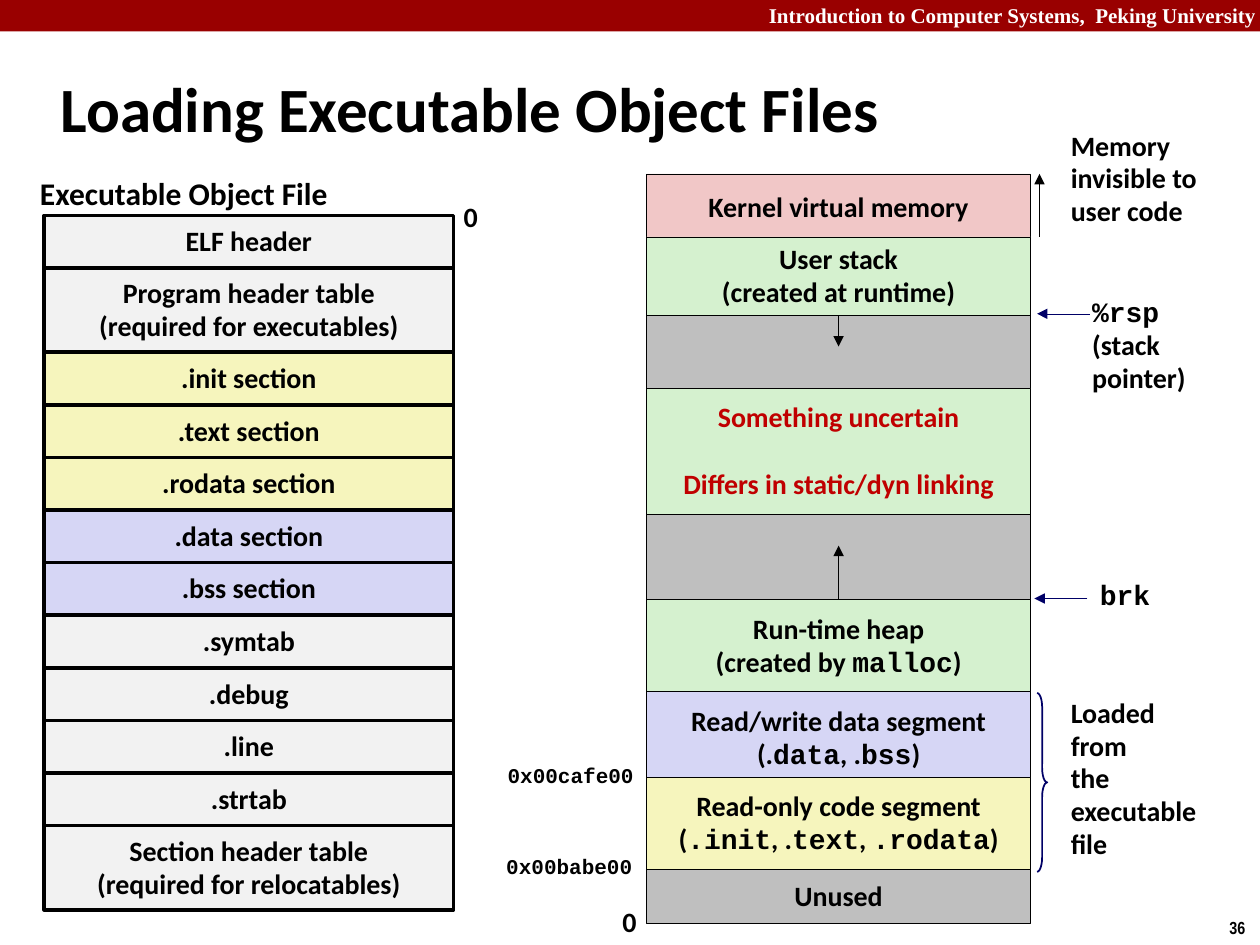
"""Build a slide mapping an executable object file onto process memory."""
from lxml.etree import SubElement
from pptx import Presentation
from pptx.dml.color import RGBColor
from pptx.enum.shapes import MSO_CONNECTOR, MSO_SHAPE
from pptx.enum.text import MSO_ANCHOR, MSO_AUTO_SIZE, PP_ALIGN
from pptx.oxml.ns import qn
from pptx.util import Pt

COLORS = {
    "black": "000000", "white": "FFFFFF", "banner": "990000", "navy": "000066",
    "red": "C00000", "header": "F2F2F2", "code": "F6F5BD", "data": "D6D6F5",
    "kernel": "F1C7C7", "dynamic": "D5F1CF", "gap": "BFBFBF",
}
BODY, MONO = "Calibri", "Courier New"
FILE_LEFT, FILE_TOP, FILE_WIDTH = 25.2, 123.1, 234
ROW_HEIGHT, TALL_ROW_HEIGHT = 30.05, 48.2
MEMORY_LEFT, MEMORY_WIDTH = 369.4, 219.6

FILE_SECTIONS = [
    (["ELF header"], "header"),
    (["Program header table", "(required for executables)"], "header"),
    ([".init section"], "code"),
    ([".text section"], "code"),
    ([".rodata section"], "code"),
    ([".data section"], "data"),
    ([".bss section"], "data"),
    ([".symtab"], "header"),
    ([".debug"], "header"),
    ([".line"], "header"),
    ([".strtab"], "header"),
    (["Section header table", "(required for relocatables)"], "header"),
]
MEMORY_REGIONS = {
    "upper gap": (162, 71.3, "gap", []),
    "lower gap": (285.8, 56.9, "gap", []),
    "kernel": (99.4, 38.2, "kernel", ["Kernel virtual memory"]),
    "stack": (135.4, 44.6, "dynamic", ["User stack", "(created at runtime)"]),
    "heap": (342.7, 52.6, "dynamic", ["Run-time heap", "(created by `malloc`)"]),
    "data": (395.3, 52.6, "data", ["Read/write data segment", "(.`data`, .`bss`)"]),
    "code": (444.2, 52.6, "code",
             ["Read-only code segment", "(`.init`, .`text`, `.rodata`)"]),
    "unused": (496.8, 31, "gap", ["Unused"]),
}
LABELS = [
    (257.8, 111.6, 22.3, 26.6, ["0"], 16, False),
    (15.8, 97.2, 180, 28.8, ["Executable Object File"], 18, False),
    (348.5, 514.1, 22.3, 26.6, ["0"], 16, False),
    (617, 166.3, 68.4, 63.4, ["`%rsp`", "(stack", "pointer)"], 16, False),
    (604.8, 70.6, 103.7, 64.8, ["Memory", "invisible to user code"], 16, True),
    (621.4, 328.3, 43.2, 25.9, ["`brk`"], 16, False),
    (604.8, 394.6, 90.7, 102.2,
     ["Loaded", "from", "the", "executable", "file"], 16, False),
    (282.2, 485.3, 87.8, 21.6, ["`0x00babe00`"], 12, True),
    (283, 433.4, 112.3, 21.6, ["`0x00cafe00`"], 12, True),
]


def rgb(name):
    """Return the named colour."""
    return RGBColor.from_string(COLORS[name])


def add_span(para, text, font, size, color):
    """Append one bold run to a paragraph."""
    span = para.add_run()
    span.text = text
    span.font.name, span.font.size, span.font.bold = font, Pt(size), True
    span.font.color.rgb = rgb(color)


def write_lines(frame, lines, size=16, color="black", align=PP_ALIGN.LEFT):
    """Write one paragraph per line, with backticks around monospaced parts."""
    for index, line in enumerate(lines):
        para = frame.add_paragraph() if index else frame.paragraphs[0]
        para.alignment = align
        para.line_spacing = 0.94 if line.startswith("`") else 0.98
        for position, part in enumerate(line.split("`")):
            if part:
                add_span(para, part, MONO if position % 2 else BODY, size, color)


def add_block(page, left, top, width, height, fill, weight, lines, color="black"):
    """Add a filled, outlined rectangle with centred lines of text."""
    block = page.shapes.add_shape(
        MSO_SHAPE.RECTANGLE, Pt(left), Pt(top), Pt(width), Pt(height))
    block.shadow.inherit = False
    block.fill.solid()
    block.fill.fore_color.rgb = rgb(fill)
    block.line.color.rgb = rgb("black")
    block.line.width = Pt(weight)
    block.text_frame.word_wrap = False
    block.text_frame.vertical_anchor = MSO_ANCHOR.MIDDLE
    write_lines(block.text_frame, lines, color=color, align=PP_ALIGN.CENTER)
    return block


def add_text_box(page, left, top, width, height, wrap):
    """Add an empty text box and return its text frame."""
    box = page.shapes.add_textbox(Pt(left), Pt(top), Pt(width), Pt(height))
    box.text_frame.word_wrap = wrap
    box.text_frame.auto_size = MSO_AUTO_SIZE.SHAPE_TO_FIT_TEXT
    return box.text_frame


def add_arrow(page, start, end, color="black"):
    """Add a thin straight arrow from start to end."""
    arrow = page.shapes.add_connector(
        MSO_CONNECTOR.STRAIGHT, *(Pt(value) for value in start + end))
    arrow.line.color.rgb = rgb(color)
    arrow.line.width = Pt(0.25)
    properties = arrow._element.spPr
    SubElement(properties.find(qn("a:ln")), qn("a:tailEnd"), type="triangle")
    SubElement(properties, qn("a:effectLst"))
    return arrow


def add_brace(page, left, top, width, height):
    """Add the brace that spans the segments loaded from the file."""
    brace = page.shapes.add_shape(
        MSO_SHAPE.RIGHT_BRACE, Pt(left), Pt(top), Pt(width), Pt(height))
    brace.shadow.inherit = False
    brace.adjustments[0] = 1.417
    brace.fill.background()
    brace.line.color.rgb = rgb("navy")
    brace.line.width = Pt(1)


def add_frame(page):
    """Add the course banner, the title and the page number."""
    banner = page.shapes.add_shape(MSO_SHAPE.RECTANGLE, 0, 0, Pt(720), Pt(18))
    banner.shadow.inherit = False
    banner.fill.solid()
    banner.fill.fore_color.rgb = rgb("banner")
    banner.line.fill.background()
    course = add_text_box(page, 432, -2.2, 293, 21.6, True).paragraphs[0]
    course.alignment = PP_ALIGN.RIGHT
    add_span(course, "Introduction to Computer Systems,  Peking University",
             "Times New Roman", 12, "white")
    number = add_text_box(page, 695.5, 520.6, 24.5, 19.4, False).paragraphs[0]
    add_span(number, "36", "Arial Narrow", 10, "black")
    title = page.shapes.title
    title.left, title.top, title.width, title.height = (
        Pt(27.4), Pt(30.2), Pt(686.2), Pt(61.9))
    title.text_frame.vertical_anchor = MSO_ANCHOR.MIDDLE
    heading = title.text_frame.paragraphs[0]
    heading.alignment = PP_ALIGN.LEFT
    add_span(heading, "Loading Executable Object Files", BODY, 36, "black")


def add_object_file(page):
    """Stack the sections of the object file from top to bottom."""
    top = FILE_TOP
    for lines, fill in FILE_SECTIONS:
        height = TALL_ROW_HEIGHT if len(lines) > 1 else ROW_HEIGHT
        add_block(page, FILE_LEFT, top, FILE_WIDTH, height, fill, 2, lines)
        top += height


def add_memory(page):
    """Add the memory regions, their growth arrows and pointers."""
    regions = {
        name: add_block(page, MEMORY_LEFT, top, MEMORY_WIDTH, height, fill, 0.25, lines)
        for name, (top, height, fill, lines) in MEMORY_REGIONS.items()}
    uncertain = add_block(
        page, MEMORY_LEFT, 221.8, MEMORY_WIDTH, 72, "dynamic", 0.25,
        ["Something uncertain", "Differs in static/dyn linking"], "red")
    uncertain.text_frame.paragraphs[0].space_after = Pt(19)
    center = MEMORY_LEFT + MEMORY_WIDTH / 2
    add_arrow(page, (center, 180), (center, 198)).begin_connect(regions["stack"], 2)
    add_arrow(page, (center, 342.7), (center, 311.8)).begin_connect(regions["heap"], 0)
    add_arrow(page, (594, 135.4), (594, 99.4))
    add_arrow(page, (622.8, 179.3), (592.6, 179.3), "navy")
    add_arrow(page, (621.4, 342), (591.1, 342), "navy")
    add_brace(page, 592.6, 396, 5.8, 102.2)


def main():
    """Build and save the deck."""
    deck = Presentation()
    deck.slide_width, deck.slide_height = Pt(720), Pt(540)
    page = deck.slides.add_slide(deck.slide_layouts[5])
    add_frame(page)
    add_object_file(page)
    add_memory(page)
    for left, top, width, height, lines, size, wrap in LABELS:
        write_lines(add_text_box(page, left, top, width, height, wrap), lines, size)
    deck.save("out.pptx")


if __name__ == "__main__":
    main()
